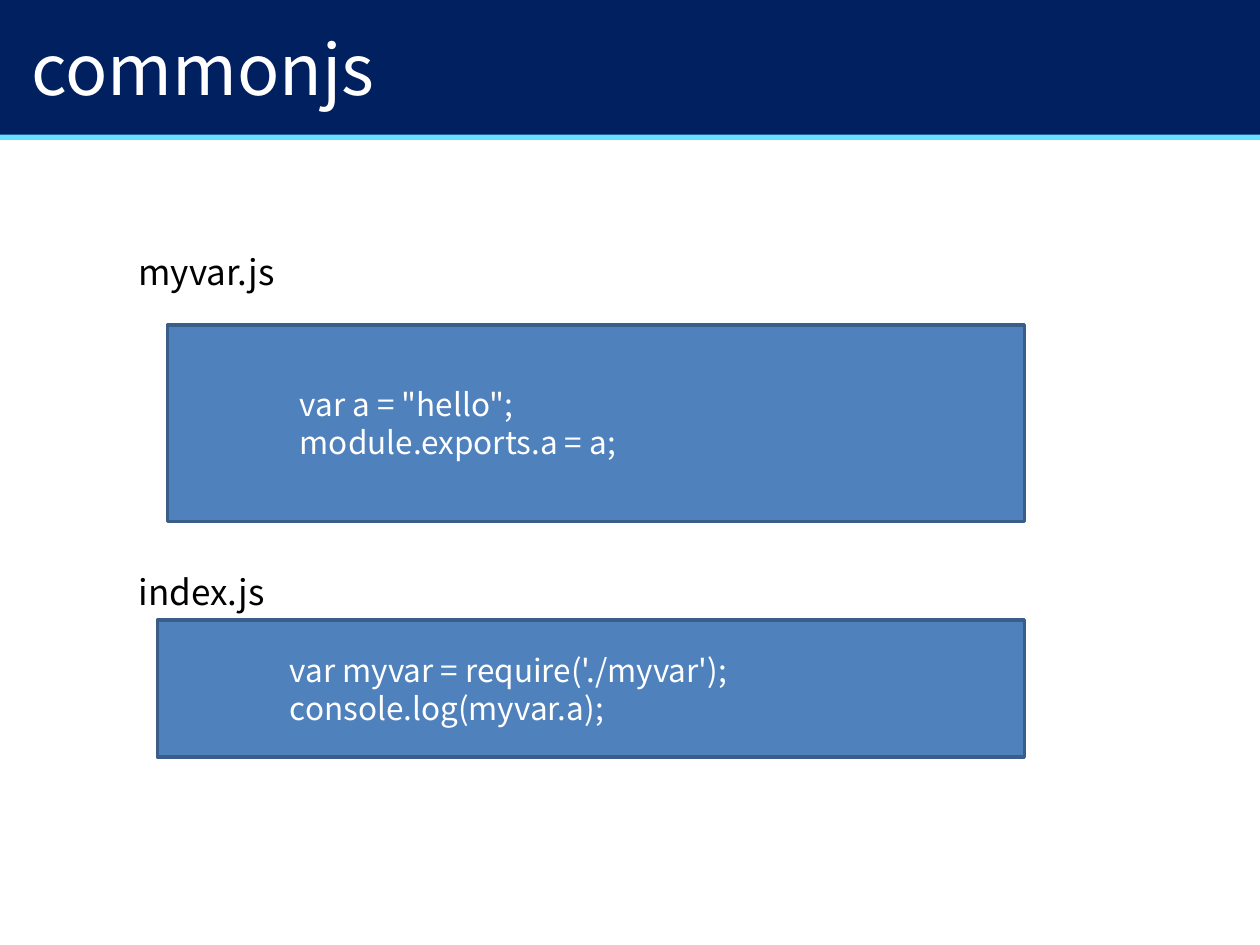
"""Build the commonjs slide: two file names, each above its code panel."""
from pptx import Presentation
from pptx.dml.color import RGBColor
from pptx.enum.shapes import MSO_SHAPE
from pptx.enum.text import MSO_ANCHOR as Anchor, PP_ALIGN as Align
from pptx.util import Inches, Pt

NAVY = RGBColor(0x00, 0x20, 0x60)
CYAN = RGBColor(0x65, 0xE2, 0xFF)
BLUE = RGBColor(0x4F, 0x81, 0xBD)
EDGE = RGBColor(0x3A, 0x5E, 0x8A)
WHITE = RGBColor(0xFF, 0xFF, 0xFF)
BLACK = RGBColor(0x00, 0x00, 0x00)
FONT = "Noto Sans CJK KR"

deck = Presentation()
deck.slide_width, deck.slide_height = Inches(10), Inches(7.5)
slide = deck.slides.add_slide(deck.slide_layouts[6])


def add_panel(left, top, width, height, fill, edge=None):
    panel = slide.shapes.add_shape(
        MSO_SHAPE.RECTANGLE, Inches(left), Inches(top), Inches(width), Inches(height))
    panel.shadow.inherit = False
    panel.fill.solid()
    panel.fill.fore_color.rgb = fill
    if edge is None:
        panel.line.fill.background()
    else:
        panel.line.color.rgb = edge
        panel.line.width = Pt(2)
    return panel


def write(holder, lines, size, color, anchor=Anchor.MIDDLE, indent=0):
    frame = holder.text_frame
    frame.word_wrap = True
    frame.vertical_anchor = anchor
    frame.margin_left = Inches(0.05 + indent)
    frame.margin_right = frame.margin_top = frame.margin_bottom = Inches(0.05)
    for number, line in enumerate(lines):
        paragraph = frame.add_paragraph() if number else frame.paragraphs[0]
        paragraph.alignment = Align.LEFT
        run = paragraph.add_run()
        run.text = line
        run.font.size = Pt(size)
        run.font.name = FONT
        run.font.color.rgb = color


add_panel(0, 1.06, 10, 0.05, CYAN)
add_panel(0, 0, 10, 1.07, NAVY)
title = slide.shapes.add_textbox(Inches(0.2), Inches(-0.09), Inches(9), Inches(1.25))
write(title, ["commonjs"], 40, WHITE)

modules_shown = [
    ("myvar.js", 1.94, (1.33, 2.58, 6.8, 1.56),
     ['var a = "hello";', "module.exports.a = a;"]),
    ("index.js", 4.48, (1.25, 4.92, 6.88, 1.09),
     ["var myvar = require('./myvar');", "console.log(myvar.a);"]),
]
for file_name, name_top, panel_box, code in modules_shown:
    label = slide.shapes.add_textbox(
        Inches(1.05), Inches(name_top), Inches(7.9), Inches(0.44))
    write(label, [file_name], 20, BLACK, Anchor.TOP)
    write(add_panel(*panel_box, BLUE, EDGE), code, 18, WHITE, indent=1)

deck.save("out.pptx")
